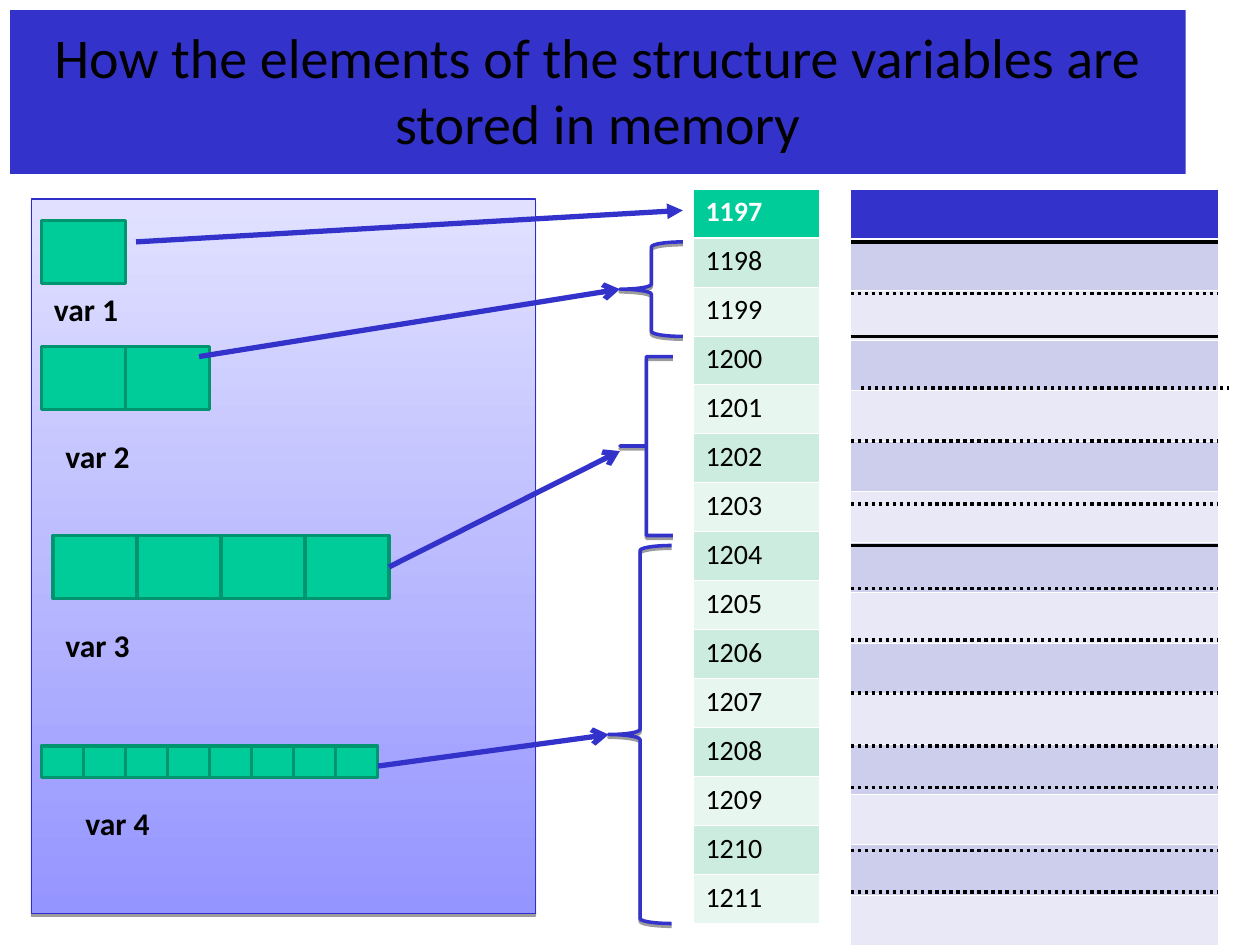
from dataclasses import dataclass
from typing import NamedTuple

from lxml import etree
from pptx import Presentation
from pptx.dml.color import RGBColor
from pptx.enum import dml, shapes, text
from pptx.oxml import parse_xml
from pptx.oxml.ns import nsdecls, qn
from pptx.util import Inches, Pt


@dataclass(frozen=True)
class Theme:
    font: str = "Calibri"
    title_size: float = 32
    label_size: float = 18
    address_size: float = 16
    black: str = "000000"
    white: str = "FFFFFF"
    blue: str = "3333CC"
    blue_bands: tuple = ("CDCDEC", "E8E8F6")
    green: str = "00CC99"
    green_bands: tuple = ("CBECDE", "E7F6EF")
    green_edge: str = "00956F"
    panel_edge: str = "2E2ECB"
    panel_bottom: str = "9595FF"
    panel_top: str = "E1E1FF"


class Variable(NamedTuple):
    label: str
    label_left: float
    label_top: float
    left: float
    top: float
    cells: int
    width: float
    height: float


class Brace(NamedTuple):
    left: float
    top: float
    width: float
    height: float
    curve: float


THEME = Theme()
VARIABLES = [
    Variable("var 1", 0.33, 2.25, 0.33, 1.75, 1, 2 / 3, 0.5),
    Variable("var 2", 0.42, 3.42, 0.33, 2.75, 2, 2 / 3, 0.5),
    Variable("var 3", 0.42, 4.92, 0.42, 4.25, 4, 2 / 3, 0.5),
    Variable("var 4", 0.58, 6.33, 0.33, 5.92, 8, 1 / 3, 0.25),
]
BRACES = [
    Brace(4.92, 1.92, 0.5, 0.75, 0.08),
    Brace(4.92, 2.83, 0.42, 1.42, 0),
    Brace(4.83, 4.33, 0.5, 3, 0.08),
]
ADDRESSES = [str(address) for address in range(1197, 1212)]
MEMORY_LEFT, MEMORY_WIDTH = 6.75, 2.92
SOLID_RULES = [1.92, 2.67, 4.33]
DOTTED_RULES = [2.33, 3.5, 4, 4.67, 5.08, 5.5, 5.92, 6.25, 6.75, 7.08]


def color(value: str) -> RGBColor:
    return RGBColor.from_string(value)


def write(frame, content: str, *, size: float, ink: str = THEME.black, bold: bool = False,
          align=text.PP_ALIGN.LEFT, anchor=text.MSO_ANCHOR.TOP, spacing: float = 1.0) -> None:
    frame.word_wrap = True
    frame.vertical_anchor = anchor
    paragraph = frame.paragraphs[0]
    paragraph.text = content
    paragraph.alignment = align
    paragraph.line_spacing = spacing
    font = paragraph.font
    font.name, font.size, font.bold = THEME.font, Pt(size), bold
    font.color.rgb = color(ink)


def add_drop_shadow(shape) -> None:
    shape.shadow.inherit = False
    effects = shape._element.spPr.find(qn("a:effectLst"))
    effects.append(parse_xml(
        f'<a:outerShdw {nsdecls("a")} blurRad="0" dist="{Pt(1.6)}" dir="5400000">'
        f'<a:srgbClr val="{THEME.black}"><a:alpha val="38000"/></a:srgbClr></a:outerShdw>'))


def add_box(slide, left: float, top: float, width: float, height: float,
            fill: str | None = None, edge: str | None = None, weight: float = 2,
            kind=shapes.MSO_SHAPE.RECTANGLE):
    shape = slide.shapes.add_shape(kind, Inches(left), Inches(top), Inches(width), Inches(height))
    shape.shadow.inherit = False
    if fill:
        shape.fill.solid()
        shape.fill.fore_color.rgb = color(fill)
    else:
        shape.fill.background()
    if edge:
        shape.line.color.rgb = color(edge)
        shape.line.width = Pt(weight)
    else:
        shape.line.fill.background()
    return shape


def add_line(slide, start: tuple, end: tuple, ink: str, weight: float,
             dotted: bool = False, head: str | None = None):
    line = slide.shapes.add_connector(shapes.MSO_CONNECTOR.STRAIGHT,
                                      *(Inches(value) for value in (*start, *end)))
    line.line.color.rgb = color(ink)
    line.line.width = Pt(weight)
    if dotted:
        line.line.dash_style = dml.MSO_LINE.ROUND_DOT
    if head:
        etree.SubElement(line.line._get_or_add_ln(), qn("a:tailEnd"), type=head)
    etree.SubElement(line._element.spPr, qn("a:effectLst"))
    return line


def set_borders(cell, widths: dict) -> None:
    properties = cell._tc.get_or_add_tcPr()
    for index, (side, width) in enumerate(widths.items()):
        properties.insert(index, parse_xml(
            f'<a:{side} {nsdecls("a")} w="{Pt(width)}"><a:solidFill>'
            f'<a:srgbClr val="{THEME.white}"/></a:solidFill></a:{side}>'))


def add_column(slide, left: float, width: float, height: float, entries: list,
               header: str, bands: tuple, size: float) -> None:
    table = slide.shapes.add_table(len(entries), 1, Inches(left), Inches(1.5),
                                   Inches(width), Inches(height)).table
    for index, entry in enumerate(entries):
        table.rows[index].height = Inches(height / len(entries))
        cell = table.cell(index, 0)
        is_header = index == 0
        write(cell.text_frame, entry, size=size, bold=is_header,
              ink=THEME.white if is_header else THEME.black)
        cell.fill.solid()
        cell.fill.fore_color.rgb = color(header if is_header else bands[(index - 1) % 2])
        set_borders(cell, {"lnL": 0.45, "lnR": 0.45, "lnT": 1.47 if index == 1 else 0.45,
                           "lnB": 1.47 if is_header else 0.45})


def add_variable(slide, variable: Variable) -> list:
    label = slide.shapes.add_textbox(Inches(variable.label_left), Inches(variable.label_top),
                                     Inches(0.75), Inches(0.4))
    write(label.text_frame, variable.label, size=THEME.label_size, bold=True)
    return [add_box(slide, variable.left + index * variable.width, variable.top,
                    variable.width, variable.height, THEME.green, THEME.green_edge)
            for index in range(variable.cells)]


def add_brace(slide, brace: Brace):
    shape = add_box(slide, brace.left, brace.top, brace.width, brace.height,
                    edge=THEME.blue, kind=shapes.MSO_SHAPE.LEFT_BRACE)
    shape.adjustments[0] = brace.curve
    add_drop_shadow(shape)
    return shape


def main() -> None:
    presentation = Presentation()
    presentation.slide_width, presentation.slide_height = Inches(10), Inches(7.5)
    slide = presentation.slides.add_slide(presentation.slide_layouts[6])

    # Title
    title = add_box(slide, 0.08, 0.08, 9.33, 1.3, THEME.blue)
    write(title.text_frame, "How the elements of the structure variables are stored in memory",
          size=THEME.title_size, align=text.PP_ALIGN.CENTER,
          anchor=text.MSO_ANCHOR.MIDDLE, spacing=0.97)

    # Memory addresses
    add_column(slide, 5.5, 1, 5.83, ADDRESSES, THEME.green, THEME.green_bands,
               THEME.address_size)

    # Panel with the variables
    panel = add_box(slide, 0.25, 1.58, 4, 5.67, edge=THEME.panel_edge, weight=0.75)
    panel.fill.gradient()
    panel.fill.gradient_angle = 90
    for stop, shade in zip(panel.fill.gradient_stops, (THEME.panel_bottom, THEME.panel_top)):
        stop.color.rgb = color(shade)
    add_drop_shadow(panel)
    cells = [add_variable(slide, variable) for variable in VARIABLES]

    # Memory cells and their dividing rules
    add_column(slide, MEMORY_LEFT, MEMORY_WIDTH, 5.75, [""] * len(ADDRESSES), THEME.blue,
               THEME.blue_bands, THEME.label_size)
    rules = [(MEMORY_LEFT, top, False) for top in SOLID_RULES]
    rules += [(MEMORY_LEFT, top, True) for top in DOTTED_RULES] + [(6.83, 3.08, True)]
    for left, top, dotted in rules:
        add_line(slide, (left, top), (left + MEMORY_WIDTH, top), THEME.black, 2, dotted)

    # Braces and arrows from variables to addresses
    braces = [add_brace(slide, brace) for brace in BRACES]
    add_line(slide, (1.08, 1.92), (5.42, 1.67), THEME.blue, 3, head="triangle")
    arrow_2 = add_line(slide, (1.58, 2.83), (4.92, 2.29), THEME.blue, 3, head="arrow")
    arrow_2.end_connect(braces[0], 1)
    arrow_3 = add_line(slide, (3.08, 4.5), (4.92, 3.58), THEME.blue, 3, head="arrow")
    arrow_3.begin_connect(cells[2][-1], 3)
    arrow_4 = add_line(slide, (3, 6.08), (4.83, 5.83), THEME.blue, 3, head="arrow")
    arrow_4.end_connect(braces[2], 1)

    presentation.save("out.pptx")


if __name__ == "__main__":
    main()
